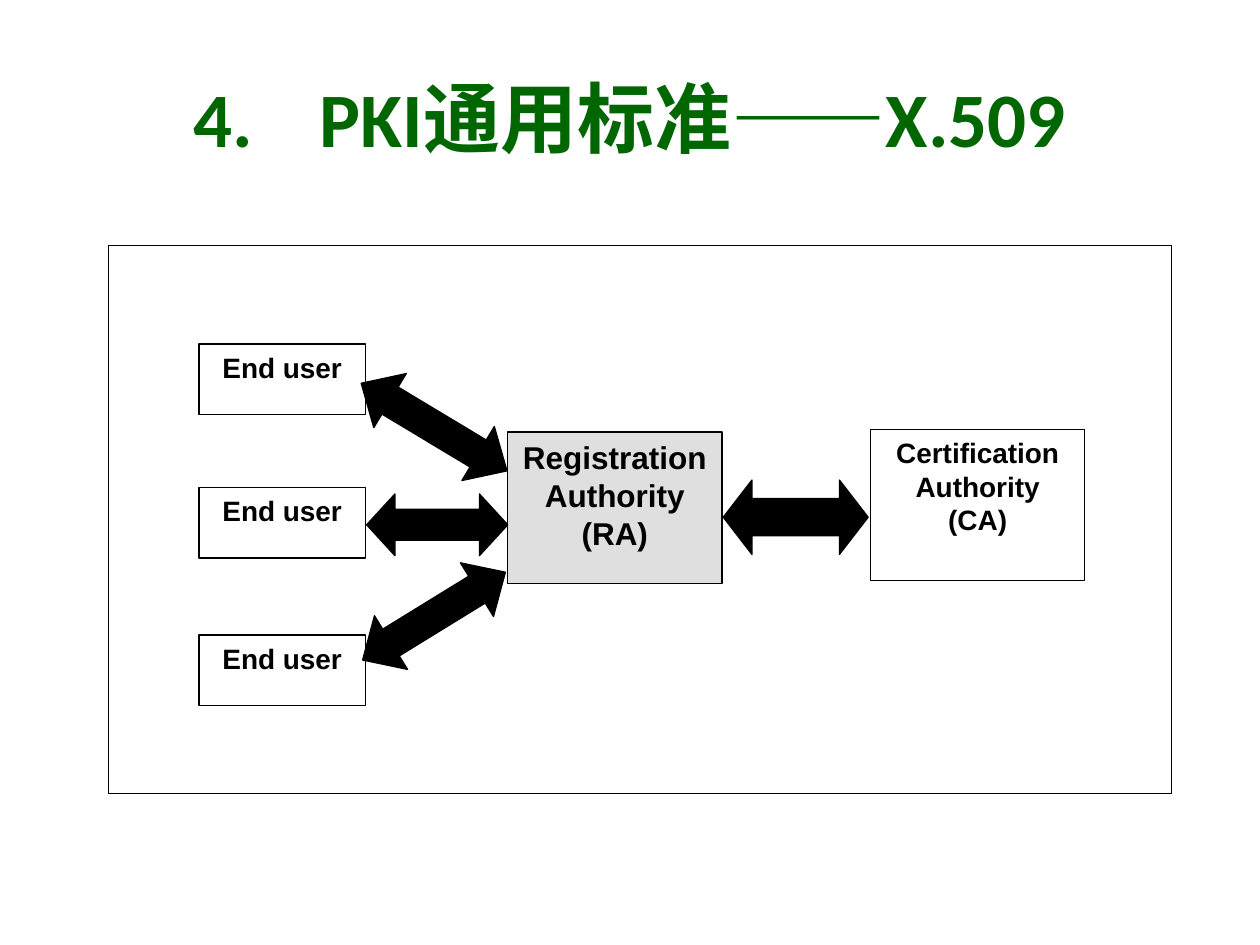
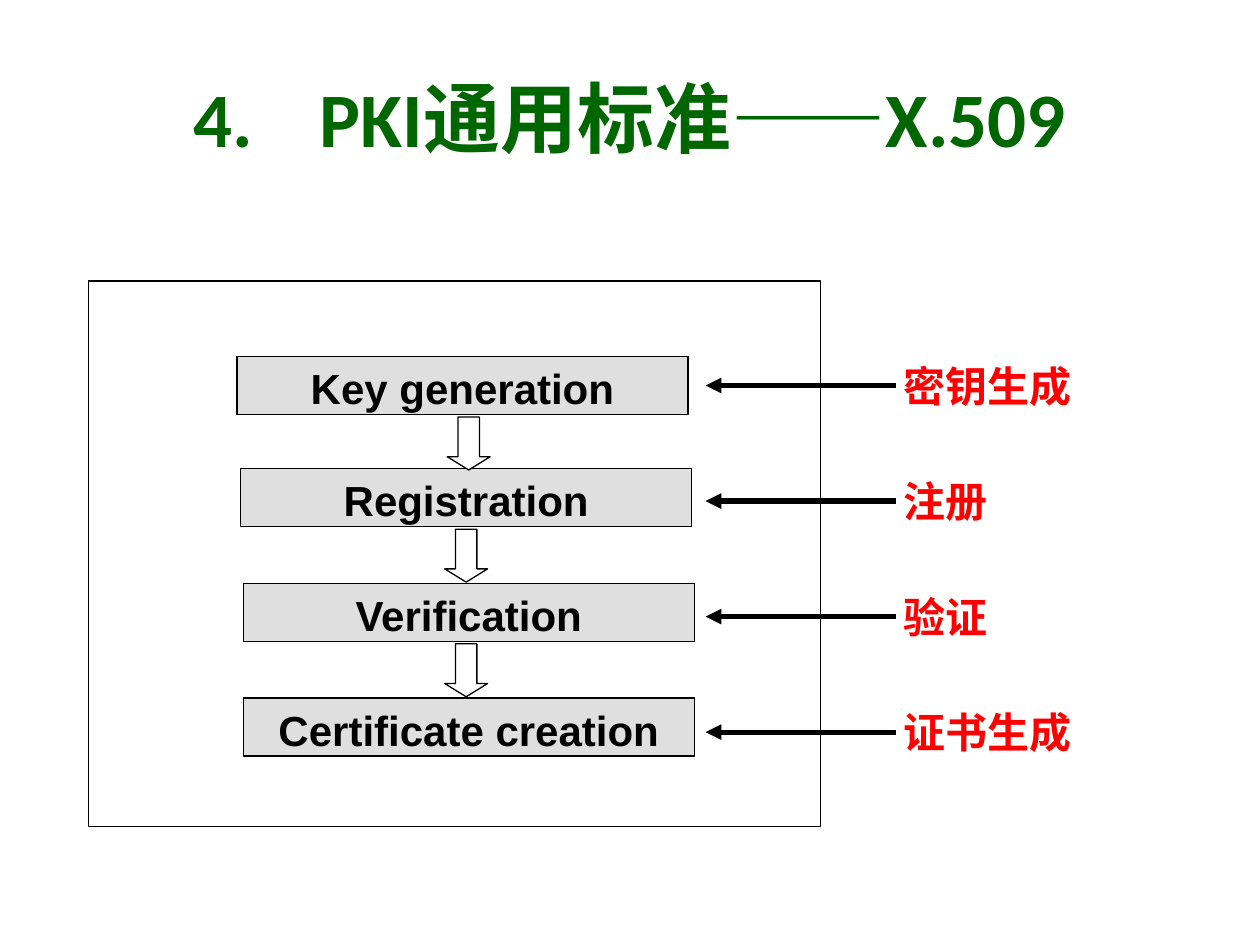
import pptx
import pptx.dml.color
import pptx.enum.lang
import pptx.enum.shapes
import pptx.enum.text
import pptx.oxml
import pptx.oxml.ns
import pptx.util
from pptx.util import Inches

SHAPES = pptx.enum.shapes.MSO_SHAPE
ALIGN = pptx.enum.text.PP_ALIGN
ANCHOR = pptx.enum.text.MSO_ANCHOR

BLACK, WHITE, GREY, GREEN, RED = "000000", "FFFFFF", "C0C0C0", "006600", "FF0000"
TITLE = "4.\tPKI通用标准——X.509"

# Slide 1: all places are left, top, width, height in inches
AUTHORITY_FRAME = (0.86, 1.95, 8.44, 4.35)
END_USER = "End user"
END_USER_LEFT, END_USER_SIZE = 1.58, (1.32, 0.56)
END_USER_TOPS = [2.73, 3.87, 5.04]
AUTHORITY_SIZE = (1.7, 1.2)
AUTHORITIES = [  # text, left, top, font size, fill, opacity in percent
    ("Registration Authority (RA)", 4.03, 3.43, 18, GREY, 50),
    ("Certification Authority (CA)", 6.91, 3.41, 16, WHITE, 100),
]
EXCHANGES = [  # place, head length, rotation
    ((5.74, 3.81, 1.15, 0.59), 0.386, 0),
    ((2.77, 3.14, 1.35, 0.5), 0.534, 31),
    ((2.91, 3.92, 1.12, 0.49), 0.459, 0),
    ((2.78, 4.64, 1.33, 0.5), 0.529, 328.4),
]

# Slide 2
PROCESS_FRAME = (0.7, 2.23, 5.81, 4.33)
STEPS = [  # text, label, left, top
    ("Key generation", "密钥生成", 1.88, 2.83),
    ("Registration", "注册", 1.91, 3.72),
    ("Verification", "验证", 1.93, 4.63),
    ("Certificate creation", "证书生成", 1.93, 5.54),
]
STEP_SIZE = (3.58, 0.46)
DOWN_ARROW_LEFTS = [3.55, 3.53, 3.53]
DOWN_ARROW_SIZE, DOWN_ARROW_GAP = (0.34, 0.42), 0.02
POINTER_FROM, POINTER_TO = 7.11, 5.6
POINTER_TOP, POINTER_PITCH = 3.06, 0.917
LABEL_LEFT, LABEL_SIZE = 7.07, (2.46, 0.5)


def rgb(code):
    return pptx.dml.color.RGBColor.from_string(code)


def add_xml(parent, tag, **attributes):
    element = pptx.oxml.parse_xml(f"<a:{tag} {pptx.oxml.ns.nsdecls('a')}/>")
    for name, value in attributes.items():
        element.set(name, str(value))
    parent.append(element)
    return element


def write(box, text, size=24, font="Arial", color=BLACK, align=ALIGN.CENTER,
          anchor=ANCHOR.TOP, tab_count=0):
    """Fill a box with one bold paragraph; tab stops stand one inch apart."""
    frame = box.text_frame
    frame.word_wrap = True
    frame.auto_size = pptx.enum.text.MSO_AUTO_SIZE.NONE
    frame.vertical_anchor = anchor
    para = frame.paragraphs[0]
    para.alignment = align
    if tab_count:
        tabs = add_xml(para._p.get_or_add_pPr(), "tabLst")
        for inch in range(tab_count):
            add_xml(tabs, "tab", pos=int(Inches(inch)), algn="l")
    span = para.add_run()
    span.text = text
    span.font.name = font
    span.font.size = pptx.util.Pt(size)
    span.font.bold = True
    span.font.color.rgb = rgb(color)
    span.font.language_id = pptx.enum.lang.MSO_LANGUAGE_ID.SIMPLIFIED_CHINESE


def add_shape(page, kind, place, fill=WHITE, opacity=100, adjustments=(), rotation=0):
    shape = page.shapes.add_shape(kind, *map(Inches, place))
    shape.shadow.inherit = False
    shape.fill.solid()
    shape.fill.fore_color.rgb = rgb(fill)
    if opacity < 100:
        color = shape.fill._xPr.find(".//" + pptx.oxml.ns.qn("a:srgbClr"))
        add_xml(color, "alpha", val=opacity * 1000)
    shape.line.color.rgb = rgb(BLACK)
    shape.line.width = pptx.util.Pt(0.75)
    for index, value in enumerate(adjustments):
        shape.adjustments[index] = value
    shape.rotation = rotation
    return shape


def add_pointer(page, top):
    line = page.shapes.add_connector(
        pptx.enum.shapes.MSO_CONNECTOR.STRAIGHT,
        *map(Inches, (POINTER_FROM, top, POINTER_TO, top)))
    line.line.color.rgb = rgb(BLACK)
    line.line.width = pptx.util.Pt(3)
    add_xml(line.line._get_or_add_ln(), "tailEnd", type="triangle")
    add_xml(line._element.spPr, "effectLst")


def add_page(deck, frame_place):
    """Add a slide with the shared title and a white frame."""
    page = deck.slides.add_slide(deck.slide_layouts[5])
    title = page.shapes.title
    title.left, title.top, title.width, title.height = map(Inches, (0.5, 0.3, 9, 1.25))
    write(title, TITLE, size=44, font="Calibri", color=GREEN,
          anchor=ANCHOR.MIDDLE, tab_count=8)
    add_shape(page, SHAPES.RECTANGLE, frame_place)
    return page


def build_authorities(deck):
    page = add_page(deck, AUTHORITY_FRAME)
    for top in END_USER_TOPS:
        box = add_shape(page, SHAPES.RECTANGLE, (END_USER_LEFT, top, *END_USER_SIZE))
        write(box, END_USER, size=16)
    for text, left, top, size, fill, opacity in AUTHORITIES:
        box = add_shape(page, SHAPES.RECTANGLE, (left, top, *AUTHORITY_SIZE), fill, opacity)
        write(box, text, size=size)
    for place, head, rotation in EXCHANGES:
        add_shape(page, SHAPES.LEFT_RIGHT_ARROW, place, BLACK,
                  adjustments=(0.5, head), rotation=rotation)


def build_process(deck):
    page = add_page(deck, PROCESS_FRAME)
    for index, (text, label, left, top) in enumerate(STEPS):
        box = add_shape(page, SHAPES.RECTANGLE, (left, top, *STEP_SIZE), GREY, 50)
        write(box, text)
        pointer_top = POINTER_TOP + index * POINTER_PITCH
        add_pointer(page, pointer_top)
        label_place = (LABEL_LEFT, pointer_top - LABEL_SIZE[1] / 2, *LABEL_SIZE)
        write(page.shapes.add_textbox(*map(Inches, label_place)), label,
              color=RED, align=ALIGN.LEFT)
    for left, (*_, step_top) in zip(DOWN_ARROW_LEFTS, STEPS):
        top = step_top + STEP_SIZE[1] + DOWN_ARROW_GAP
        add_shape(page, SHAPES.DOWN_ARROW, (left, top, *DOWN_ARROW_SIZE),
                  adjustments=(0.5, 0.308))


def main():
    deck = pptx.Presentation()
    deck.slide_width, deck.slide_height = Inches(10), Inches(7.5)
    build_authorities(deck)
    build_process(deck)
    deck.save("out.pptx")


if __name__ == "__main__":
    main()
